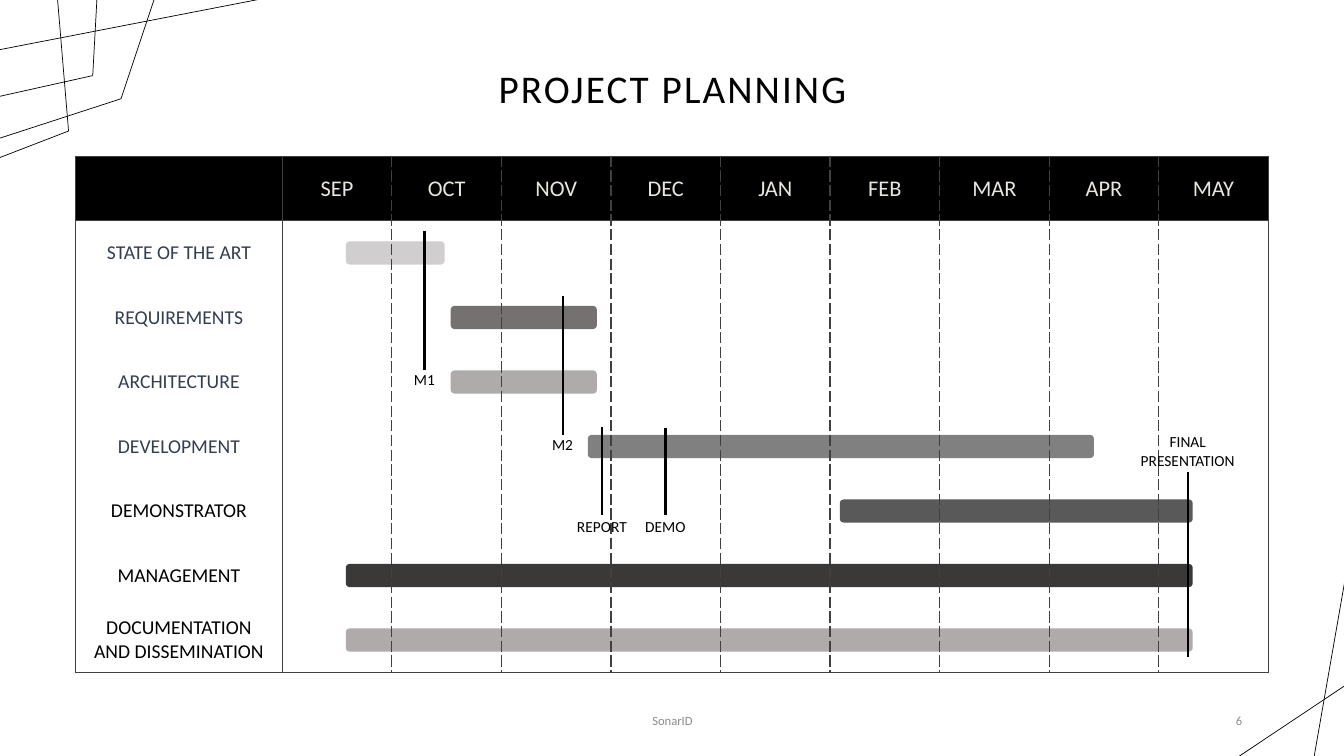
from pptx import Presentation
from pptx import util as u
from pptx.dml import color
from pptx.enum import shapes, text
from pptx.oxml import ns
from lxml import etree

THEME = {
    "font": "Calibri", "black": "000000", "header_text": "E9E6DF", "early": "333F50",
    "grid": "404040", "muted": "8C8C8C",
    "title_size": 28, "month_size": 16, "task_size": 14, "label_size": 11, "footer_size": 9,
    "grid_width": 1, "milestone_width": 1.5, "decor_width": 0.5,
}
MONTHS = ["SEP", "OCT", "NOV", "DEC", "JAN", "FEB", "MAR", "APR", "MAY"]
TASKS = [
    ("STATE OF THE ART", "early", 3.43, 0.98, "D0CECE"),
    ("REQUIREMENTS", "early", 4.47, 1.45, "767171"),
    ("ARCHITECTURE", "early", 4.47, 1.45, "AFABAB"),
    ("DEVELOPMENT", "early", 5.83, 5.02, "808080"),
    ("DEMONSTRATOR", "black", 8.33, 3.5, "595959"),
    ("MANAGEMENT", "black", 3.43, 8.4, "3B3838"),
    ("DOCUMENTATION\nAND DISSEMINATION", "black", 3.43, 8.4, "AFABAB"),
]
MILESTONES = [
    ("M1", 4.21, 2.29, 3.67, 3.62, 0.5, 0.29),
    ("M2", 5.58, 2.94, 4.32, 4.27, 0.5, 0.29),
    ("REPORT", 5.97, 4.24, 5.11, 5.08, 0.83, 0.29),
    ("DEMO", 6.6, 4.25, 5.11, 5.08, 0.83, 0.29),
    ("FINAL PRESENTATION", 11.78, 4.68, 6.52, 4.24, 1.32, 0.47),
]
DECOR_LINES = [
    (11.35, 8.13, 14.84, 5.8), (12.93, 8.1, 13.48, 4.95),
    (-0.59, 1.79, 0.68, 1.3), (0.68, 1.3, 0.57, -0.02),
    (0.92, 0.75, -0.38, 1.04), (1.59, -0.19, 1.2, 0.98),
    (3.31, -0.15, -0.71, 0.63), (1.2, 0.98, -0.4, 1.5),
    (0.98, -0.35, 0.92, 0.75),
]
TITLE = "PROJECT PLANNING"
FOOTER = "SonarID"
PAGE = "6"
TABLE_LEFT, TABLE_TOP, TABLE_WIDTH = 0.75, 1.55, 11.83
TASK_WIDTH, ROW_HEIGHT, BAR_HEIGHT = 2.05, 0.64, 0.23
CENTER, RIGHT = text.PP_ALIGN.CENTER, text.PP_ALIGN.RIGHT
TOP, MIDDLE, BOTTOM = text.MSO_ANCHOR.TOP, text.MSO_ANCHOR.MIDDLE, text.MSO_ANCHOR.BOTTOM


def rgb(name):
    return color.RGBColor.from_string(THEME.get(name, name))


def apply(target, values):
    for name, value in values.items():
        setattr(target, name, value)


def write(frame, wording, size, tint, align=CENTER, paragraph_format=None, spacing=None):
    frame.text = wording
    for paragraph in frame.paragraphs:
        apply(paragraph, {"alignment": align, **(paragraph_format or {})})
        for run in paragraph.runs:
            apply(run.font, {"name": THEME["font"], "size": u.Pt(THEME[size])})
            run.font.color.rgb = rgb(tint)
            if spacing:
                run.font._element.set("spc", str(spacing))


def add_text(slide, box, wording, size, tint, anchor, **formatting):
    shape = slide.shapes.add_textbox(*map(u.Inches, box))
    apply(shape.text_frame, {"word_wrap": True, "vertical_anchor": anchor})
    write(shape.text_frame, wording, size, tint, **formatting)


def add_line(slide, ends, width):
    line = slide.shapes.add_connector(shapes.MSO_CONNECTOR.STRAIGHT, *map(u.Inches, ends))
    line.line.color.rgb = rgb("black")
    line.line.width = u.Pt(THEME[width])
    etree.SubElement(line._element.spPr, ns.qn("a:effectLst"))


def set_borders(cell, styles):
    properties = cell._tc.get_or_add_tcPr()
    for side, style in zip("LRTB", styles):
        border = etree.SubElement(properties, ns.qn("a:ln" + side),
                                  w=str(u.Pt(THEME["grid_width"])))
        if style:
            fill = etree.SubElement(border, ns.qn("a:solidFill"))
            etree.SubElement(fill, ns.qn("a:srgbClr"), val=THEME["grid"])
            etree.SubElement(border, ns.qn("a:prstDash"), val=style)
        else:
            etree.SubElement(border, ns.qn("a:noFill"))


def add_bars(slide):
    for row, (_, _, left, width, tint) in enumerate(TASKS, start=1):
        top = TABLE_TOP + ROW_HEIGHT * (row + 0.5) - BAR_HEIGHT / 2
        box = map(u.Inches, (left, top, width, BAR_HEIGHT))
        bar = slide.shapes.add_shape(shapes.MSO_SHAPE.ROUNDED_RECTANGLE, *box)
        bar.shadow.inherit = False
        bar.fill.solid()
        bar.fill.fore_color.rgb = rgb(tint)
        bar.line.fill.background()


def add_schedule(slide):
    rows, columns = len(TASKS) + 1, len(MONTHS) + 1
    box = map(u.Inches, (TABLE_LEFT, TABLE_TOP, TABLE_WIDTH, ROW_HEIGHT * rows))
    table = slide.shapes.add_table(rows, columns, *box).table
    apply(table, {"first_row": False, "horz_banding": False})
    month_width = (TABLE_WIDTH - TASK_WIDTH) / len(MONTHS)
    for index, column in enumerate(table.columns):
        column.width = u.Inches(month_width if index else TASK_WIDTH)
    for row in range(rows):
        table.rows[row].height = u.Inches(ROW_HEIGHT)
        for column in range(columns):
            cell = table.cell(row, column)
            cell.vertical_anchor = MIDDLE
            set_borders(cell, (
                "solid" if column < 2 else "dash",
                "solid" if column in (0, columns - 1) else "dash",
                "solid" if row < 2 else None,
                "solid" if row in (0, rows - 1) else None,
            ))
            if row:
                cell.fill.background()
            else:
                cell.fill.solid()
                cell.fill.fore_color.rgb = rgb("black")
            if row and not column:
                wording, tint = TASKS[row - 1][:2]
                write(cell.text_frame, wording, "task_size", tint)
            elif column and not row:
                write(cell.text_frame, MONTHS[column - 1], "month_size", "header_text")


def add_milestones(slide):
    for _, x, start, end, *_ in MILESTONES:
        add_line(slide, (x, start, x, end), "milestone_width")
    for wording, x, _, _, top, width, height in MILESTONES:
        add_text(slide, (x - width / 2, top, width, height), wording,
                 "label_size", "black", TOP)


def main():
    presentation = Presentation()
    apply(presentation, {"slide_width": u.Inches(13.33), "slide_height": u.Inches(7.5)})
    slide = presentation.slides.add_slide(presentation.slide_layouts[6])
    for ends in DECOR_LINES:
        add_line(slide, ends, "decor_width")
    add_bars(slide)
    add_schedule(slide)
    add_text(slide, (0.92, -0.29, 11.5, 1.45), TITLE, "title_size", "black", BOTTOM,
             paragraph_format={"line_spacing": 0.9}, spacing=150)
    add_text(slide, (4.42, 6.95, 4.5, 0.4), FOOTER, "footer_size", "muted", MIDDLE)
    add_text(slide, (9.42, 6.95, 3, 0.4), PAGE, "footer_size", "muted", MIDDLE, align=RIGHT)
    add_milestones(slide)
    presentation.save("out.pptx")


if __name__ == "__main__":
    main()
